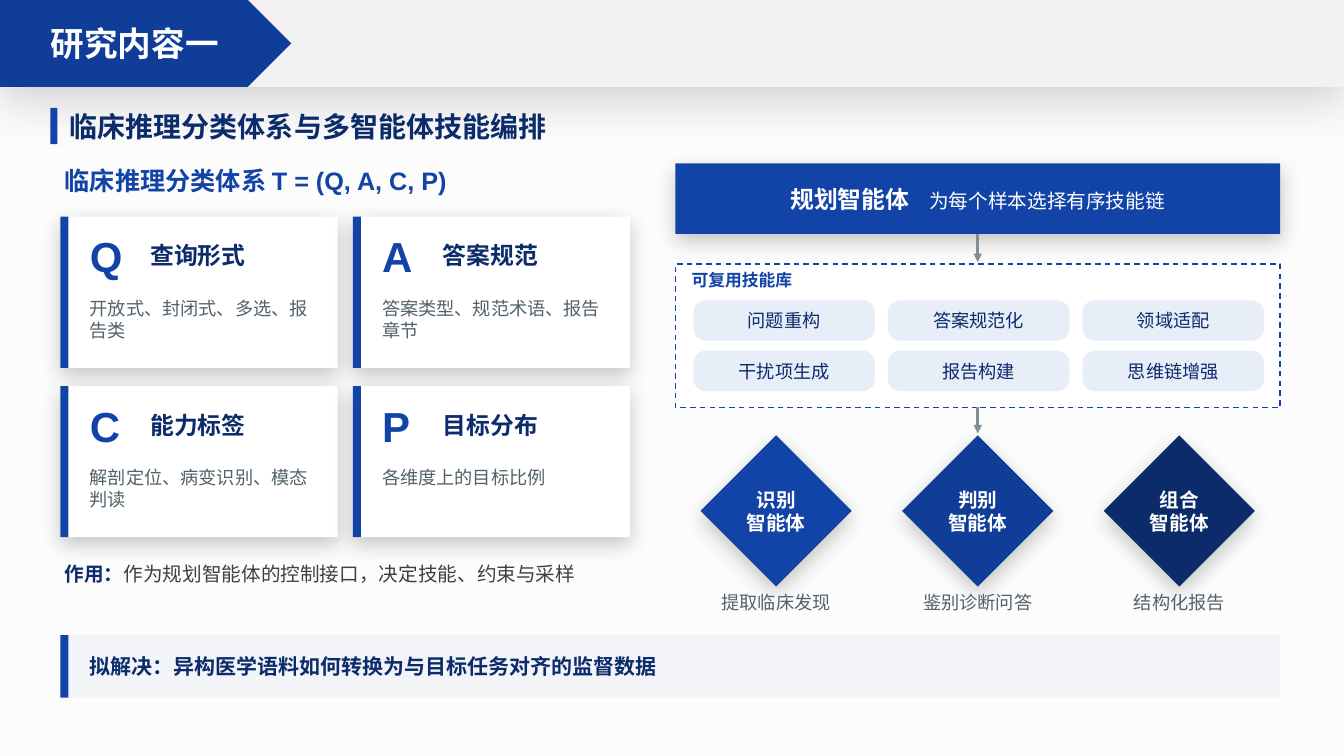
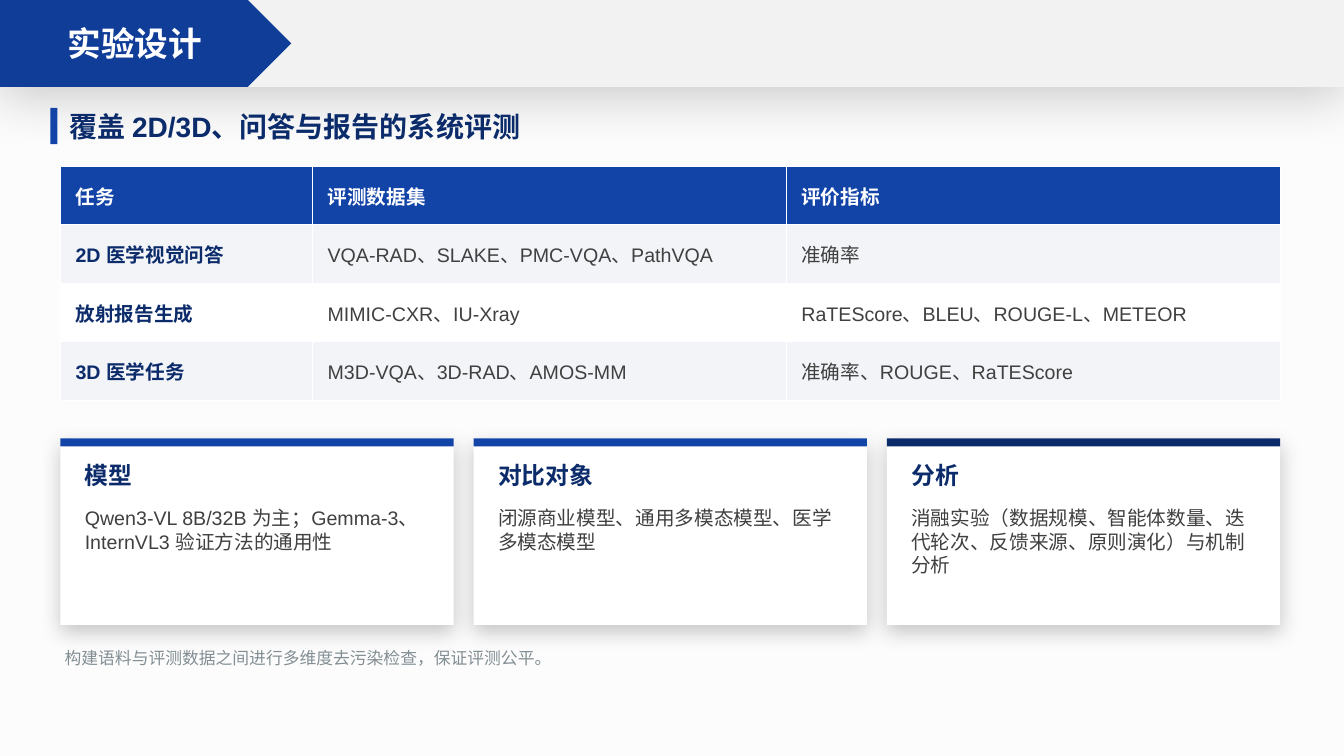
"""Two research slides: clinical reasoning taxonomy and experiment design."""
from lxml import etree
from pptx import Presentation
from pptx import util as u
from pptx.dml.color import RGBColor
from pptx.enum import dml, shapes, text
from pptx.oxml.ns import qn

Pt = u.Pt
BLUE = RGBColor(0x12, 0x43, 0xA7)
ROYAL = RGBColor(0x10, 0x3D, 0x98)
NAVY = RGBColor(0x0B, 0x2B, 0x6B)
PALE = RGBColor(0xE8, 0xEE, 0xF8)
MIST = RGBColor(0xF2, 0xF4, 0xF8)
PAPER = RGBColor(0xFC, 0xFC, 0xFC)
BAND = RGBColor(0xF2, 0xF2, 0xF2)
WHITE = RGBColor(0xFF, 0xFF, 0xFF)
INK = RGBColor(0x40, 0x40, 0x40)
SLATE = RGBColor(0x52, 0x62, 0x69)
GREY = RGBColor(0x82, 0x8E, 0x93)

FONT = "Arial"
SLIDE_W, SLIDE_H = 960, 540
BAND_H, TAG_W = 62, 208
LEFT, WIDTH = 43.2, 871.2
EDGE = 5.76
CARD_SHADOW = (22, 15, 5)
BAND_SHADOW = (20, 38, 7)
CENTER = text.PP_ALIGN.CENTER
MIDDLE = text.MSO_ANCHOR.MIDDLE
TOP = text.MSO_ANCHOR.TOP
SHAPE = shapes.MSO_SHAPE


def box(*lengths):
    """Return lengths given in points as EMU."""
    return [Pt(v) for v in lengths]


def write(tf, paragraphs, align=None, anchor=TOP, insets=(3, 1.5)):
    """Fill a text frame with paragraphs of (text, size, colour, bold) runs."""
    tf.word_wrap = True
    tf.auto_size = text.MSO_AUTO_SIZE.NONE
    tf.vertical_anchor = anchor
    tf.margin_left = tf.margin_right = Pt(insets[0])
    tf.margin_top = tf.margin_bottom = Pt(insets[1])
    for i, runs in enumerate(paragraphs):
        p = tf.add_paragraph() if i else tf.paragraphs[0]
        p.alignment = align
        for words, size, color, bold in runs:
            r = p.add_run()
            r.text = words
            r.font.name, r.font.size, r.font.bold = FONT, Pt(size), bold
            r.font.color.rgb = color


def label(s, at, words, size, color, bold=False, **layout):
    """Add a text box holding one run."""
    tf = s.shapes.add_textbox(*box(*at)).text_frame
    write(tf, [[(words, size, color, bold)]], **layout)


def shape(s, at, fill, kind=SHAPE.RECTANGLE, shadow=None):
    """Add a filled preset shape without outline, optionally with a shadow."""
    sp = s.shapes.add_shape(kind, *box(*at))
    sp.fill.solid()
    sp.fill.fore_color.rgb = fill
    sp.line.fill.background()
    sp.shadow.inherit = False
    if shadow:
        alpha, blur, dist = shadow
        effects = sp.element.spPr.find(qn("a:effectLst"))
        outer = etree.SubElement(effects, qn("a:outerShdw"), blurRad=str(Pt(blur)),
                                 dist=str(Pt(dist)), dir="5400000",
                                 algn="t", rotWithShape="0")
        black = etree.SubElement(outer, qn("a:srgbClr"), val="000000")
        etree.SubElement(black, qn("a:alpha"), val=str(alpha * 1000))
    return sp


def arrow(s, x, top, bottom):
    """Add a downward grey arrow."""
    c = s.shapes.add_connector(shapes.MSO_CONNECTOR.STRAIGHT, *box(x, top, x, bottom))
    c.line.color.rgb = GREY
    c.line.width = Pt(2)
    etree.SubElement(c.element.spPr.find(qn("a:ln")), qn("a:tailEnd"), type="triangle")
    etree.SubElement(c.element.spPr, qn("a:effectLst"))


def new_slide(prs, title, heading):
    """Add a slide with its tag title and accented heading."""
    s = prs.slides.add_slide(prs.slide_layouts[5])
    t = s.shapes.title
    t.left, t.top, t.width, t.height = box(0, 0, TAG_W - BAND_H / 4, BAND_H)
    write(t.text_frame, [[(title, 24, WHITE, True)]], CENTER, MIDDLE, (7.2, 3.6))
    shape(s, (36, 77, 5, 26), BLUE)
    label(s, (46.8, 72, WIDTH, 36), heading, 20, NAVY, True, anchor=MIDDLE)
    return s


def dress_layout(prs, s):
    """Put the top band and title tag, drawn on a slide, into its layout."""
    prs.slide_master.background.fill.solid()
    prs.slide_master.background.fill.fore_color.rgb = PAPER
    layout = s.slide_layout
    for ph in list(layout.placeholders):
        if ph.placeholder_format.idx >= 10:
            layout.shapes.element.remove(ph.element)
    band = shape(s, (0, 0, SLIDE_W, BAND_H), BAND, shadow=BAND_SHADOW)
    tag = shape(s, (0, 0, TAG_W, BAND_H), ROYAL, SHAPE.PENTAGON)
    for i, sp in enumerate((band, tag)):
        layout.shapes.element.insert(2 + i, sp.element)


def letter_card(s, x, y, letter, name, detail):
    """Add a taxonomy card with a left accent."""
    shape(s, (x, y, 198, 108), WHITE, shadow=CARD_SHADOW)
    shape(s, (x, y, EDGE, 108), BLUE)
    label(s, (x + 18, y + 8.64, 43, 43), letter, 30, BLUE, True)
    label(s, (x + 61.2, y + 15.84, 130, 32), name, 17, NAVY, True)
    label(s, (x + 18, y + 56.16, 172.8, 47), detail, 13, SLATE)


def topic_card(s, x, accent, name, detail):
    """Add an experiment card with a top accent."""
    y, w = 313.2, 280.8
    shape(s, (x, y, w, 133.2), WHITE, shadow=CARD_SHADOW)
    shape(s, (x, y, w, EDGE), accent)
    label(s, (x + 14.4, y + 14.4, 252, 29), name, 17, NAVY, True)
    label(s, (x + 14.4, y + 46.8, 252, 83), detail, 14, INK)


def skill_library(s, skills):
    """Add the dashed panel with its grid of skill pills."""
    panel = shape(s, (482.4, 188.64, 432, 102.24), WHITE)
    panel.line.color.rgb = BLUE
    panel.line.width = Pt(1)
    panel.line.dash_style = dml.MSO_LINE.DASH
    label(s, (491, 191.5, 216, 22), "可复用技能库", 12, BLUE, True)
    for i, skill in enumerate(skills):
        row, col = divmod(i, 3)
        at = (495.36 + 138.96 * col, 214.56 + 36 * row, 129.6, 28.8)
        pill = shape(s, at, PALE, SHAPE.ROUNDED_RECTANGLE)
        pill.adjustments[0] = 0.3
        write(pill.text_frame, [[(skill, 13, NAVY, False)]], CENTER, MIDDLE, (6, 2))


def agent(s, x, fill, name, duty):
    """Add an agent diamond with its duty underneath."""
    sp = shape(s, (x + 18, 311, 108, 108), fill, SHAPE.DIAMOND, CARD_SHADOW)
    lines = [[(words, 14, WHITE, True)] for words in (name, "智能体")]
    write(sp.text_frame, lines, CENTER, MIDDLE, (1.5, 2))
    label(s, (x, 421.2, 144, 25), duty, 13, SLATE, align=CENTER)


def table(s, rows, widths):
    """Add the evaluation table with a blue header and striped rows."""
    row_h = 41.76
    at = box(LEFT, 118.8, WIDTH, row_h * len(rows))
    tbl = s.shapes.add_table(len(rows), len(widths), *at).table
    for col, width in zip(tbl.columns, widths):
        col.width = Pt(width)
    for i, row in enumerate(rows):
        for j, words in enumerate(row):
            cell = tbl.cell(i, j)
            cell.fill.solid()
            cell.fill.fore_color.rgb = BLUE if i == 0 else MIST if i % 2 else WHITE
            color = WHITE if i == 0 else INK if j else NAVY
            write(cell.text_frame, [[(words, 14, color, i == 0 or j == 0)]])
            cell.vertical_anchor = MIDDLE
            cell.margin_left, cell.margin_right = Pt(10.8), Pt(7.2)
            cell.margin_top = cell.margin_bottom = Pt(3.6)


def taxonomy_slide(s):
    """Fill the taxonomy and agent orchestration slide."""
    label(s, (LEFT, 116.64, 410, 29), "临床推理分类体系 T = (Q, A, C, P)", 18, BLUE, True)
    cards = [("Q", "查询形式", "开放式、封闭式、多选、报告类"),
             ("A", "答案规范", "答案类型、规范术语、报告章节"),
             ("C", "能力标签", "解剖定位、病变识别、模态判读"),
             ("P", "目标分布", "各维度上的目标比例")]
    for i, card in enumerate(cards):
        row, col = divmod(i, 2)
        letter_card(s, LEFT + 208.8 * col, 154.8 + 120.96 * row, *card)
    role = s.shapes.add_textbox(*box(LEFT, 399.6, 410, 43))
    write(role.text_frame, [[("作用：", 14, NAVY, True),
                             ("作为规划智能体的控制接口，决定技能、约束与采样", 14, INK, False)]])

    planner = shape(s, (482.4, 116.64, 432, 50.4), BLUE, shadow=CARD_SHADOW)
    write(planner.text_frame, [[("规划智能体", 17, WHITE, True),
                                ("　为每个样本选择有序技能链", 14, WHITE, False)]],
          CENTER, MIDDLE, (6, 2))
    arrow(s, 698.4, 167, 187.2)
    skill_library(s, ["问题重构", "答案规范化", "领域适配",
                      "干扰项生成", "报告构建", "思维链增强"])
    arrow(s, 698.4, 290.9, 309.6)
    agents = [(BLUE, "识别", "提取临床发现"),
              (ROYAL, "判别", "鉴别诊断问答"),
              (NAVY, "组合", "结构化报告")]
    for i, item in enumerate(agents):
        agent(s, 482.4 + 144 * i, *item)

    shape(s, (LEFT, 453.6, WIDTH, 44.64), MIST)
    shape(s, (LEFT, 453.6, EDGE, 44.64), BLUE)
    label(s, (61.2, 453.6, 849.6, 44.64),
          "拟解决：异构医学语料如何转换为与目标任务对齐的监督数据", 15, NAVY, True, anchor=MIDDLE)


def experiment_slide(s):
    """Fill the experiment design slide."""
    table(s, [("任务", "评测数据集", "评价指标"),
              ("2D 医学视觉问答", "VQA-RAD、SLAKE、PMC-VQA、PathVQA", "准确率"),
              ("放射报告生成", "MIMIC-CXR、IU-Xray", "RaTEScore、BLEU、ROUGE-L、METEOR"),
              ("3D 医学任务", "M3D-VQA、3D-RAD、AMOS-MM", "准确率、ROUGE、RaTEScore")],
          (180, 338.4, 352.8))
    topics = [(BLUE, "模型", "Qwen3-VL 8B/32B 为主；Gemma-3、InternVL3 验证方法的通用性"),
              (BLUE, "对比对象", "闭源商业模型、通用多模态模型、医学多模态模型"),
              (NAVY, "分析", "消融实验（数据规模、智能体数量、迭代轮次、反馈来源、原则演化）与机制分析")]
    for i, topic in enumerate(topics):
        topic_card(s, LEFT + 295.2 * i, *topic)
    label(s, (LEFT, 460.8, WIDTH, 29),
          "构建语料与评测数据之间进行多维度去污染检查，保证评测公平。", 12, GREY)


def main():
    """Build and save the presentation."""
    prs = Presentation()
    prs.slide_width, prs.slide_height = box(SLIDE_W, SLIDE_H)
    s = new_slide(prs, "研究内容一", "临床推理分类体系与多智能体技能编排")
    dress_layout(prs, s)
    taxonomy_slide(s)
    experiment_slide(new_slide(prs, "实验设计", "覆盖 2D/3D、问答与报告的系统评测"))
    prs.save("out.pptx")


if __name__ == "__main__":
    main()
